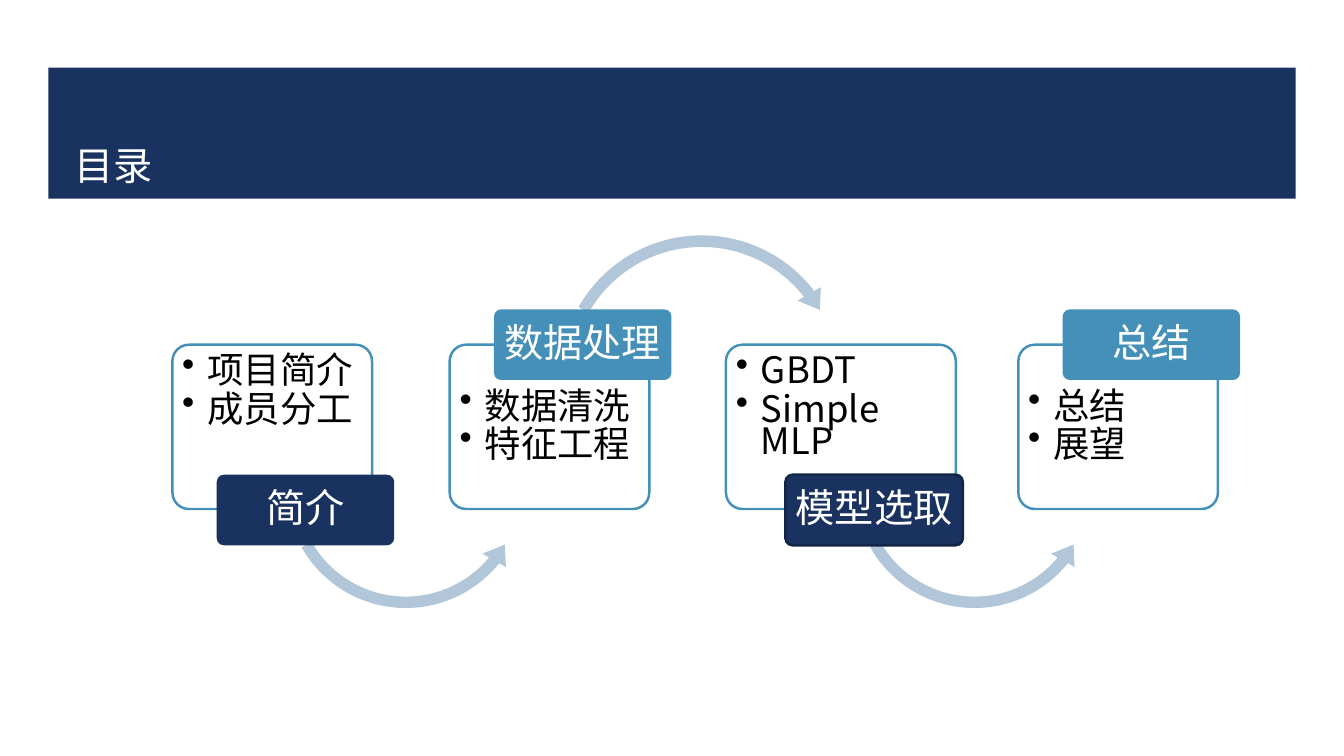
import pptx
import pptx.util
import pptx.dml.color
import pptx.enum.shapes
import pptx.enum.text
import pptx.oxml
import pptx.oxml.ns

PX = 9144  # 100 px to the inch
FONT = "Noto Sans CJK SC"
HUES = {"navy": "1A3260", "blue": "4590B8", "pale": "B1C6D8",
        "edge": "132547", "white": "FFFFFF", "title": "FFFEFF", "black": "000000"}
KIND = pptx.enum.shapes.MSO_SHAPE
ALIGN = pptx.enum.text.PP_ALIGN
ANCHOR = pptx.enum.text.MSO_ANCHOR
A = 'xmlns:a="http://schemas.openxmlformats.org/drawingml/2006/main"'

deck = pptx.Presentation()
deck.slide_width, deck.slide_height = 1333 * PX, 750 * PX
slide = deck.slides.add_slide(deck.slide_layouts[6])


def draw(kind, box, fill, line=None, adj=()):
    shape = slide.shapes.add_shape(kind, *[n * PX for n in box])
    shape.shadow.inherit = False
    shape.fill.solid()
    shape.fill.fore_color.rgb = pptx.dml.color.RGBColor.from_string(HUES[fill])
    if line:
        shape.line.color.rgb = pptx.dml.color.RGBColor.from_string(HUES[line])
        shape.line.width = pptx.util.Pt(1.75)
    else:
        shape.line.fill.background()
    for i, part in enumerate(adj):
        shape.adjustments[i] = part
    return shape


def write(shape, lines, size, hue, anchor, inset, align=ALIGN.LEFT, lead=0.9):
    """Fill a shape with one paragraph per line; inset is left, top, right, bottom."""
    frame = shape.text_frame
    frame.word_wrap = True
    frame.vertical_anchor = anchor
    (frame.margin_left, frame.margin_top,
     frame.margin_right, frame.margin_bottom) = [n * PX for n in inset]
    for i, line in enumerate(lines):
        para = frame.add_paragraph() if i else frame.paragraphs[0]
        para.alignment = align
        para.line_spacing = lead
        run = para.add_run()
        run.text = line
        run.font.size = pptx.util.Pt(size)
        run.font.name = FONT
        run.font.color.rgb = pptx.dml.color.RGBColor.from_string(HUES[hue])
        run.font._element.append(pptx.oxml.parse_xml(f'<a:ea {A} typeface="{FONT}"/>'))
    return frame.paragraphs


band = draw(KIND.RECTANGLE, (48, 67, 1237, 130), "navy")
write(band, ["目录"], 28, "title", ANCHOR.BOTTOM, (26, 5, 25, 10))

# card left, card width, label left, label line, label, points
steps = [
    (171, 198, 215, None, "简介", ["项目简介", "成员分工"]),
    (446, 198, 490, None, "数据处理", ["数据清洗", "特征工程"]),
    (720, 228, 779, "edge", "模型选取", ["GBDT", "Simple MLP"]),
    (1010, 198, 1054, None, "总结", ["总结", "展望"]),
]
for i, (left, wide, tab, edge, name, points) in enumerate(steps):
    high = i % 2 == 1  # label sits on the top edge

    card = draw(KIND.ROUNDED_RECTANGLE, (left, 342, wide, 163), "white", "blue", [0.1])
    tint = card.fill._xPr.find(".//" + pptx.oxml.ns.qn("a:srgbClr"))
    tint.append(pptx.oxml.parse_xml(f'<a:alpha {A} val="90000"/>'))
    inset = (5, 43 if high else 8, 5, 5)
    for para in write(card, points, 26, "black", ANCHOR.TOP, inset, lead=0.75):
        para.level = 1
        para.space_after = pptx.util.Pt(4)
        props = para._p.get_or_add_pPr()
        props.set("marL", str(25 * PX))
        props.set("indent", str(-25 * PX))
        props.append(pptx.oxml.parse_xml(f'<a:buChar {A} char="•"/>'))

    if i < len(steps) - 1:
        if high:
            draw(KIND.CIRCULAR_ARROW, (tab + 58, 226, 296, 296), "pale",
                 adj=(0.039, 4.85, 193.395, 125.755, 0.045))
        else:
            draw(KIND.LEFT_CIRCULAR_ARROW, (tab + 61, 358, 253, 253), "pale",
                 adj=(0.045, 5.751, 23.506, 90.245, 0.053))

    label = draw(KIND.ROUNDED_RECTANGLE, (tab, 307 if high else 471, 176, 70),
                 "blue" if high else "navy", edge, [0.1])
    write(label, [name], 28, "white", ANCHOR.MIDDLE, (6, 4, 6, 4), ALIGN.CENTER)

deck.save("out.pptx")
